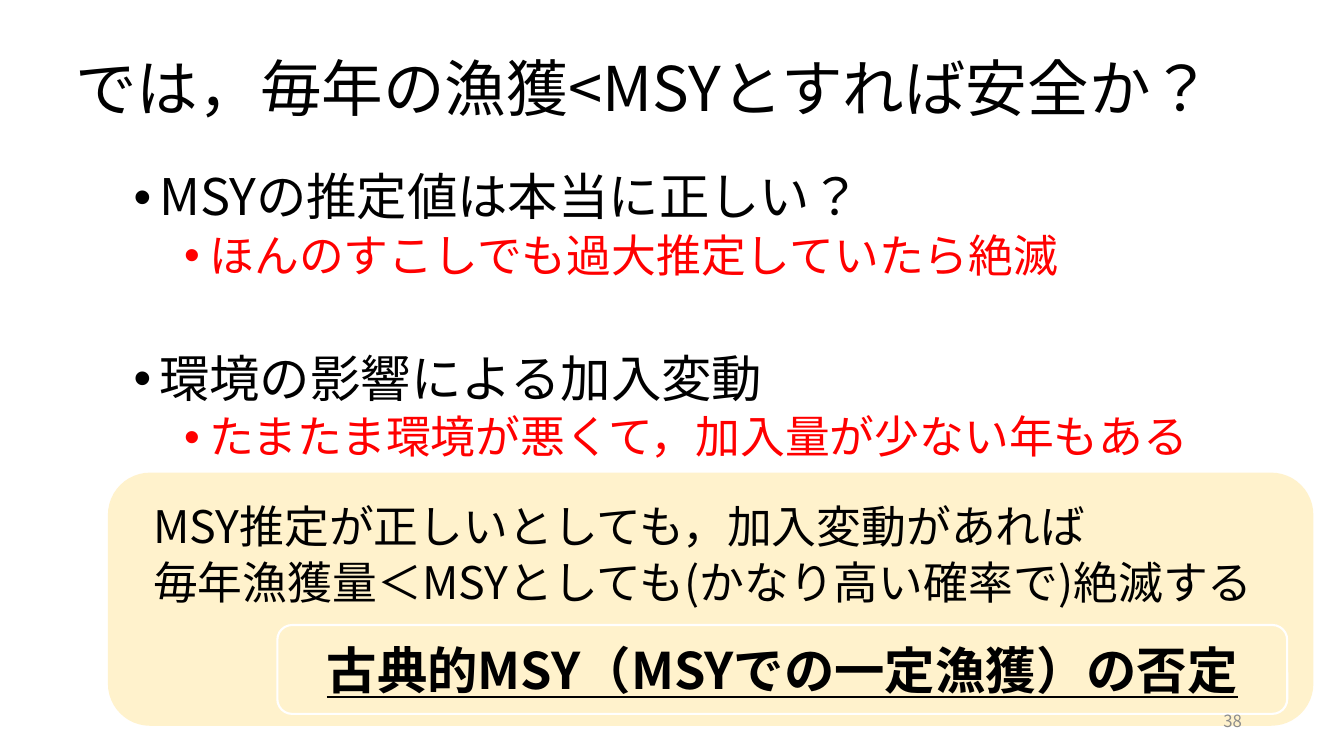
from lxml import etree
from pptx import Presentation
from pptx import util as u
from pptx.dml.color import RGBColor
from pptx.enum import lang, shapes, text
from pptx.oxml.ns import qn

FONT = "Noto Sans CJK JP"
LINE_SPACING = 0.9
COLORS = {"ink": "000000", "alert": "FF0000", "panel": "FFF2CC",
          "edge": "FFFFFF", "number": "8C8C8C"}


def style(para, size, color="ink", bold=False, underline=False):
    for span in para.runs:
        font = span.font
        font.size = u.Pt(size)
        font.name = FONT
        font.bold = bold
        font.underline = underline
        font.language_id = lang.MSO_LANGUAGE_ID.JAPANESE
        font.color.rgb = RGBColor.from_string(COLORS[color])
        east = etree.SubElement(span._r.get_or_add_rPr(), qn("a:ea"))
        east.set("typeface", FONT)


def indent(para, margin, hanging=0, bullet=False):
    props = para._p.get_or_add_pPr()
    props.set("marL", str(u.Cm(margin)))
    props.set("indent", str(u.Cm(-hanging)))
    if bullet:
        etree.SubElement(props, qn("a:buFont")).set("typeface", "Arial")
        etree.SubElement(props, qn("a:buChar")).set("char", "•")


def text_box(page, left, top, width, height, anchor=text.MSO_ANCHOR.TOP):
    box = page.shapes.add_textbox(u.Cm(left), u.Cm(top), u.Cm(width), u.Cm(height))
    box.text_frame.word_wrap = True
    box.text_frame.vertical_anchor = anchor
    return box.text_frame


def rounded_panel(page, left, top, width, height, edge=None):
    panel = page.shapes.add_shape(shapes.MSO_SHAPE.ROUNDED_RECTANGLE,
                                  u.Cm(left), u.Cm(top), u.Cm(width), u.Cm(height))
    panel.shadow.inherit = False
    panel.fill.solid()
    panel.fill.fore_color.rgb = RGBColor.from_string(COLORS["panel"])
    if edge:
        panel.line.color.rgb = RGBColor.from_string(COLORS[edge])
        panel.line.width = u.Pt(1.5)
    else:
        panel.line.fill.background()
    return panel


def add_title(page, left, top, width, height):
    frame = text_box(page, left, top, width, height, text.MSO_ANCHOR.MIDDLE)
    para = frame.paragraphs[0]
    para.text = "では，毎年の漁獲<MSYとすれば安全か？"
    para.line_spacing = 0.72
    style(para, 44)


def add_questions(page, left, top, width, height):
    frame = text_box(page, left, top, width, height)
    topics = [
        ("MSYの推定値は本当に正しい？", "ほんのすこしでも過大推定していたら絶滅"),
        ("環境の影響による加入変動", "たまたま環境が悪くて，加入量が少ない年もある"),
    ]
    for number, (question, answer) in enumerate(topics):
        para = frame.add_paragraph() if number else frame.paragraphs[0]
        para.text = question
        para.line_spacing = LINE_SPACING
        if number:
            para.space_before = u.Pt(51)
        indent(para, 0.64, 0.64, bullet=True)
        style(para, 36)
        para = frame.add_paragraph()
        para.text = answer
        para.level = 1
        para.line_spacing = LINE_SPACING
        para.space_before = u.Pt(5)
        indent(para, 1.91, 0.64, bullet=True)
        style(para, 32, "alert")


def add_conclusion(page, left, top, width, height):
    rounded_panel(page, left, top, width, height)
    frame = text_box(page, left - 0.38, top + 0.69, width - 0.25, 4.7)
    frame.text = ("MSY推定が正しいとしても，加入変動があれば\n"
                  "毎年漁獲量＜MSYとしても(かなり高い確率で)絶滅する")
    for number, para in enumerate(frame.paragraphs):
        para.line_spacing = LINE_SPACING
        if number:
            para.space_before = u.Pt(5)
        indent(para, 1.27)
        style(para, 32)

    verdict = rounded_panel(page, left + 4.27, top + 3.84, 25.45, 2.24, "edge")
    frame = verdict.text_frame
    frame.word_wrap = True
    frame.vertical_anchor = text.MSO_ANCHOR.MIDDLE
    para = frame.paragraphs[0]
    para.text = "古典的MSY（MSYでの一定漁獲）の否定"
    para.alignment = text.PP_ALIGN.CENTER
    style(para, 36, bold=True, underline=True)


def add_page_number(page, left, top, width, height):
    frame = text_box(page, left, top, width, height, text.MSO_ANCHOR.MIDDLE)
    para = frame.paragraphs[0]
    para.text = "38"
    para.alignment = text.PP_ALIGN.RIGHT
    style(para, 12, "number")


def main():
    deck = Presentation()
    deck.slide_width = u.Cm(33.87)
    deck.slide_height = u.Cm(19.05)
    page = deck.slides.add_slide(deck.slide_layouts[6])
    add_title(page, 1.65, 1.02, 29.9, 2.79)
    add_conclusion(page, 2.72, 11.91, 30.38, 6.38)
    add_questions(page, 3.12, 4.22, 28.5, 7.6)
    add_page_number(page, 23.93, 17.65, 7.62, 1.02)
    deck.save("out.pptx")


if __name__ == "__main__":
    main()
